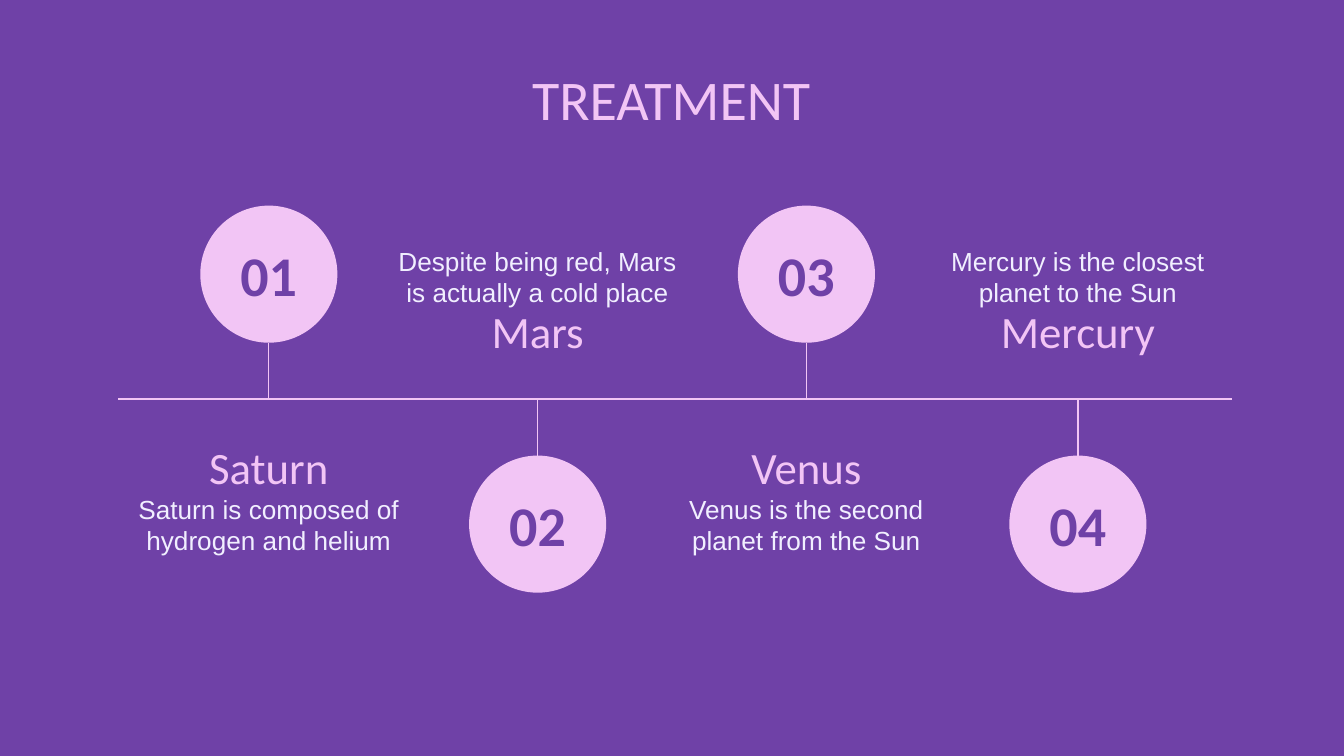
from lxml.etree import SubElement
from pptx import Presentation
from pptx.dml.color import RGBColor
from pptx.enum.shapes import MSO_CONNECTOR, MSO_SHAPE
from pptx.enum.text import MSO_ANCHOR, MSO_AUTO_SIZE, PP_ALIGN
from pptx.oxml.ns import qn
from pptx.util import Inches, Pt

WIDTH = 10
HEIGHT = WIDTH * 9 / 16
PURPLE, PINK, PALE = "6F41A7", "F2C5F5", "F1EFFF"

# Timeline measures, in inches
FIRST, PITCH = 1.12, 2.0       # first station from the left end, and the step
CIRCLE, STEM = 1.02, 0.42
HEADING, BODY, NUMBER = (1.71, 0.47), (2.34, 0.63), (0.73, 0.47)

# Number, heading, body, and a nudge off the even step
STATIONS = [
    ("01", "Saturn", "Saturn is composed of hydrogen and helium", 0),
    ("02", "Mars", "Despite being red, Mars is actually a cold place", 0),
    ("03", "Venus", "Venus is the second planet from the Sun", 0),
    ("04", "Mercury", "Mercury is the closest planet to the Sun", 0.02),
]


def color(value):
    return RGBColor.from_string(value)


def format_text(sp, text, size, font, fill, anchor, bold=False):
    tf = sp.text_frame
    tf.text = text
    tf.word_wrap = True
    tf.auto_size = MSO_AUTO_SIZE.NONE
    tf.vertical_anchor = anchor
    tf.margin_left = tf.margin_right = Inches(0.1)
    tf.margin_top = tf.margin_bottom = Inches(0.1)
    p = tf.paragraphs[0]
    p.alignment = PP_ALIGN.CENTER
    f = p.runs[0].font
    f.size, f.name, f.bold = Pt(size), font, bold
    f.color.rgb = color(fill)


def add_text(s, cx, top, size, *style):
    w, h = size
    sp = s.shapes.add_textbox(Inches(cx - w / 2), Inches(top), Inches(w), Inches(h))
    format_text(sp, *style)


def add_line(s, x1, y1, x2, y2):
    line = s.shapes.add_connector(
        MSO_CONNECTOR.STRAIGHT, Inches(x1), Inches(y1), Inches(x2), Inches(y2))
    line.line.color.rgb = color(PINK)
    line.line.width = Pt(0.75)
    SubElement(line._element.spPr, qn("a:effectLst"))


def add_title(s, text, left, top, width, height):
    sp = s.shapes.title
    sp.left, sp.top = Inches(left), Inches(top)
    sp.width, sp.height = Inches(width), Inches(height)
    format_text(sp, text, 30, "Calibri", PINK, MSO_ANCHOR.TOP)


def add_station(s, cx, axis, above, number, heading, body):
    """Circle on one side of the axis, its words on the other."""
    side = -1 if above else 1

    # Numbered circle and stem
    cy = axis + side * (STEM + CIRCLE / 2)
    sp = s.shapes.add_shape(
        MSO_SHAPE.OVAL, Inches(cx - CIRCLE / 2), Inches(cy - CIRCLE / 2),
        Inches(CIRCLE), Inches(CIRCLE))
    sp.shadow.inherit = False
    sp.fill.solid()
    sp.fill.fore_color.rgb = color(PINK)
    sp.line.fill.background()
    add_line(s, cx, axis, cx, axis + side * STEM)
    add_text(s, cx, cy - NUMBER[1] / 2, NUMBER,
             number, 30, "Calibri", PURPLE, MSO_ANCHOR.MIDDLE, True)

    # Heading next to the axis, body beyond it
    if above:
        tops = axis + 0.33, axis + 0.6
        anchors = MSO_ANCHOR.BOTTOM, MSO_ANCHOR.TOP
    else:
        tops = axis - 0.81, axis - 1.21
        anchors = MSO_ANCHOR.TOP, MSO_ANCHOR.BOTTOM
    add_text(s, cx, tops[0], HEADING, heading, 24, "Calibri", PINK, anchors[0])
    add_text(s, cx, tops[1], BODY, body, 14, "Arial", PALE, anchors[1])


def add_timeline(s, left, top, width, height):
    axis = top + height / 2
    add_line(s, left, axis, left + width, axis)
    for i, (*words, nudge) in enumerate(STATIONS):
        cx = left + FIRST + i * PITCH + nudge
        add_station(s, cx, axis, i % 2 == 0, *words)


def main():
    prs = Presentation()
    prs.slide_width, prs.slide_height = Inches(WIDTH), Inches(HEIGHT)
    s = prs.slides.add_slide(prs.slide_layouts[5])
    s.background.fill.solid()
    s.background.fill.fore_color.rgb = color(PURPLE)
    add_title(s, "TREATMENT", 0.51, 0.38, 8.97, 0.83)
    add_timeline(s, 0.88, 1.53, 8.29, 2.88)
    prs.save("out.pptx")


if __name__ == "__main__":
    main()
